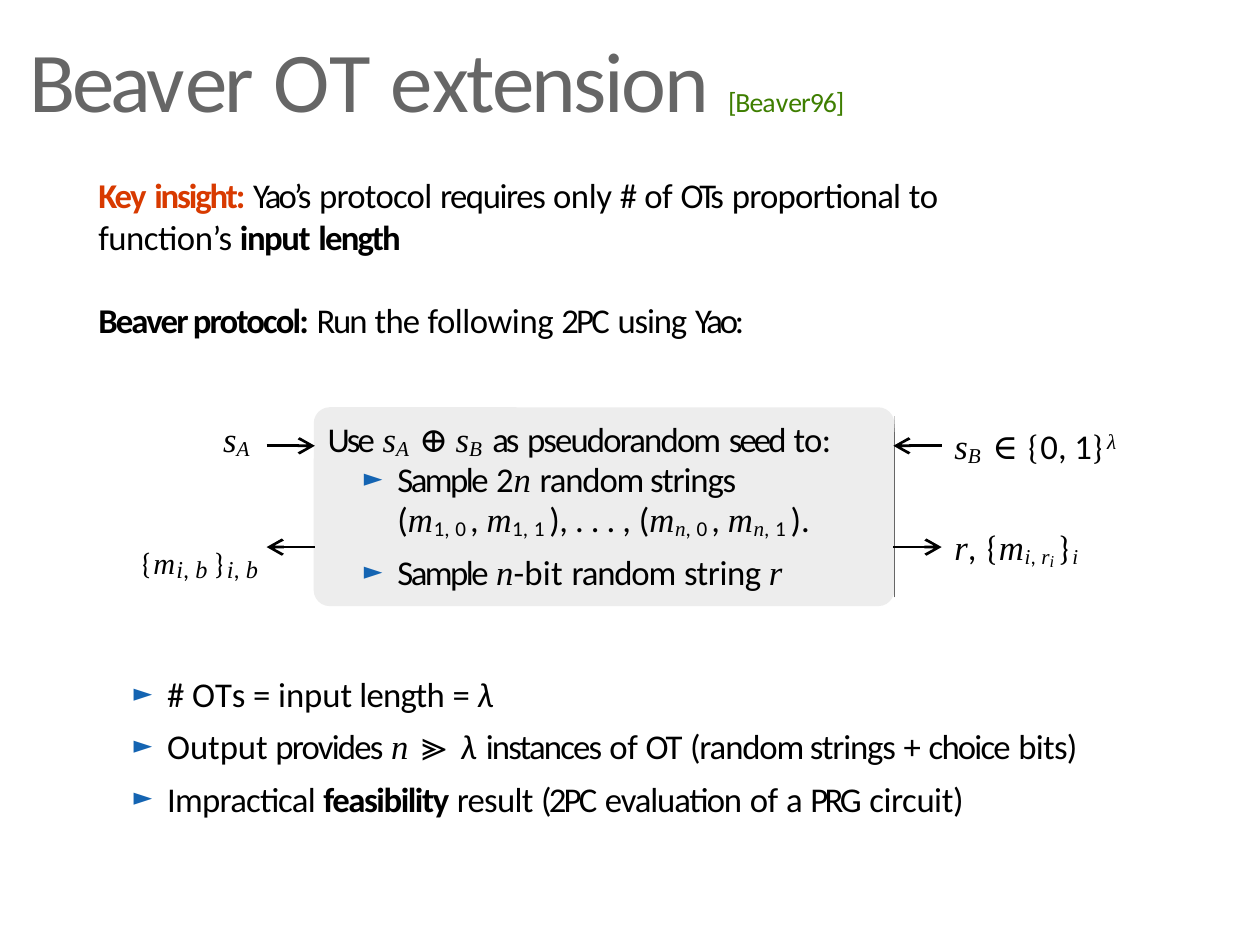
from collections import namedtuple

from lxml.etree import SubElement
from pptx import Presentation
from pptx.dml.color import RGBColor
from pptx.enum.shapes import MSO_CONNECTOR, MSO_SHAPE
from pptx.oxml.ns import qn
from pptx.util import Cm, Pt

# Face of a run: font, size, colour, italic, bold, baseline shift in percent
Face = namedtuple("Face", "font size color italic bold shift",
                  defaults=("000000", False, False, 0))
SANS, MATH, SERIF = "Calibri", "Cambria", "Times New Roman"


class Theme:
    panel = "EDEDED"
    ink = "000000"
    mark = "1464B2"
    edge = "666666"
    fade = ("8C8C8C", "A5A5A5", "BFBFBF", "CCCCCC")
    title = Face(SANS, 24.5, "666666")
    cite = Face(SANS, 8, "3E7E00")
    key = Face(SANS, 10, "D83A00", bold=True)
    body = Face(SANS, 10)
    bold = Face(SANS, 10, bold=True)
    slant = Face(SANS, 10, italic=True)
    sign = Face(MATH, 10)
    var = Face(SERIF, 10, italic=True)
    sub = Face(SERIF, 10.5, italic=True, shift=-12)
    num = Face(SANS, 10.5, shift=-12)
    deep = Face(SERIF, 8.2, italic=True, shift=-25)
    power = Face(SERIF, 10.5, italic=True, shift=28)
    brace = Face(MATH, 15, shift=8)
    base = Face(SERIF, 15, italic=True, shift=8)
    low = Face(SERIF, 7, italic=True)
    comma = Face(SANS, 7)


T = Theme


def add(para, text, face, gap):
    run = para.add_run()
    run.text = text
    font = run.font
    font.name, font.size = face.font, Pt(face.size)
    font.italic, font.bold = face.italic, face.bold
    font.color.rgb = RGBColor.from_string(face.color)
    props = run._r.get_or_add_rPr()
    props.set("spc", str(round(gap * 100)))
    if face.shift:
        props.set("baseline", str(face.shift * 1000))


def write(para, parts):
    """Add (text, face, spacing) parts; a tight word keeps its full space."""
    for text, face, gap in parts:
        if gap < 0 and text.endswith(" "):
            add(para, text[:-1], face, gap)
            add(para, " ", face, 0)
        else:
            add(para, text, face, gap)


def indent(para, left, hang=0):
    props = para._p.get_or_add_pPr()
    props.set("marL", str(Cm(left)))
    props.set("indent", str(-Cm(hang)))
    return props


def bullet(para, left):
    props = indent(para, left, 0.34)
    color = SubElement(props, qn("a:buClr"))
    SubElement(color, qn("a:srgbClr")).set("val", T.mark)
    SubElement(props, qn("a:buSzPct")).set("val", "70000")
    SubElement(props, qn("a:buFont")).set("typeface", MATH)
    SubElement(props, qn("a:buChar")).set("char", "►")


def block(slide, left, top, width, height, *lines):
    """Add a text box with no insets; return its paragraphs."""
    frame = slide.shapes.add_textbox(
        Cm(left), Cm(top), Cm(width), Cm(height)).text_frame
    frame.word_wrap = True
    frame.margin_left = frame.margin_right = 0
    frame.margin_top = frame.margin_bottom = 0
    for i, parts in enumerate(lines):
        write(frame.add_paragraph() if i else frame.paragraphs[0], parts)
    return frame.paragraphs


def line(slide, start, end, color, width, arrow=False):
    wire = slide.shapes.add_connector(
        MSO_CONNECTOR.STRAIGHT, *(Cm(v) for v in start + end))
    wire.line.color.rgb = RGBColor.from_string(color)
    wire.line.width = Pt(width)
    if arrow:
        tip = SubElement(wire.line._get_or_add_ln(), qn("a:tailEnd"))
        for name, value in (("type", "arrow"), ("w", "sm"), ("len", "sm")):
            tip.set(name, value)
    SubElement(wire._element.spPr, qn("a:effectLst"))


def panel(slide):
    box = slide.shapes.add_shape(
        MSO_SHAPE.ROUNDED_RECTANGLE, Cm(3.19), Cm(4.14), Cm(5.9), Cm(2.02))
    box.adjustments[0] = 0.08
    box.shadow.inherit = False
    box.fill.solid()
    box.fill.fore_color.rgb = RGBColor.from_string(T.panel)
    box.line.fill.background()
    # Right edge, fading towards the top
    line(slide, (9.09, 6.07), (9.09, 4.39), T.edge, 0.25)
    for i, color in enumerate(T.fade):
        y = 4.39 - 0.04 * i
        line(slide, (9.09, y), (9.09, y - 0.04), color, 0.25)


def item(row, face, col, end):
    """Message m with a row and a column index."""
    return [("m", T.var, 0.2), (row, face, -0.4 if face is T.sub else 0),
            (", ", T.num, 0.1), (col, T.num, end)]


def pair(row, face):
    return [("(", T.body, 0), *item(row, face, "0", 1.2),
            (", ", T.body, -0.1), *item(row, face, "1", 1.4)]


def heading(slide):
    block(slide, 0.3, 0.28, 9, 1.1, [
        ("Beav", T.title, -1), ("er ", T.title, -0.9), ("O", T.title, -0.8),
        ("T ", T.title, -1.6), ("e", T.title, -1.7),
        ("xtension ", T.title, -0.7), ("[Bea", T.cite, -0.3),
        ("v", T.cite, -0.5), ("er96]", T.cite, -0.3)])


def insight(slide):
    paras = block(slide, 1, 1.77, 9.63, 1.7, [
        ("Key ", T.key, -0.5), ("insight: ", T.key, -0.6),
        ("Yao’s ", T.body, -0.8), ("protocol ", T.body, -0.2),
        ("requires", T.body, -0.4), (" only ", T.body, -0.1),
        ("#", T.body, -0.9), (" of ", T.body, -0.1), ("OTs ", T.body, -0.9),
        ("proportional ", T.body, -0.2), ("to ", T.body, 0),
        ("function’s ", T.body, -0.1), ("input ", T.bold, -0.4),
        ("length", T.bold, -0.5),
    ], [
        ("Beaver protocol: ", T.bold, -0.5), ("Run", T.body, -0.6),
        (" the", T.body, -0.2), (" following ", T.body, -0.1),
        ("2PC ", T.body, -0.8), ("using ", T.body, -0.3),
        ("Yao:", T.body, -0.9)])
    paras[1].space_before = Pt(12)


def steps(slide):
    block(slide, 3.33, 4.23, 5.6, 0.46, [
        ("Use ", T.body, -0.8), ("s", T.var, 0), ("A ", T.sub, 0.7),
        ("⊕ ", T.sign, -3.6), ("s", T.var, -0.1), ("B ", T.sub, 0.7),
        ("as ", T.body, -0.9), ("pseudorandom ", T.body, -0.5),
        ("seed", T.body, -0.8), (" to:", T.body, -0.2)])
    first, pairs, last = block(slide, 3.58, 4.65, 4.78, 1.4, [
        ("Sample ", T.body, -0.7), ("2", T.body, -0.5), ("n ", T.var, 0),
        ("random strings", T.body, -0.3),
    ], [
        *pair("1", T.num), ("), . . . , ", T.body, -0.1),
        *pair("n", T.sub), (")", T.body, 0), (".", T.body, -0.6),
    ], [
        ("Sample ", T.body, -0.7), ("n", T.var, 0), ("-bit ", T.body, 0.1),
        ("random ", T.body, -0.3), ("string ", T.body, -0.1),
        ("r", T.var, -0.5)])
    first.line_spacing = pairs.line_spacing = Pt(12)
    last.space_before = Pt(3)
    bullet(first, 0.46)
    indent(pairs, 0.46)
    bullet(last, 0.46)


def ports(slide):
    # Inputs point to the panel, outputs away from it
    for y, near, far in ((4.53, 0, 1), (5.56, 1, 0)):
        for ends in ((2.71, 3.2), (9.57, 9.08)):
            line(slide, (ends[near], y), (ends[far], y), T.ink, 0.8, True)
    block(slide, 2.27, 4.23, 0.6, 0.48, [("s", T.var, 0), ("A", T.sub, 0)])
    index = [("i", T.low, -0.4), (", ", T.comma, 0.1)]
    block(slide, 1.42, 5.35, 1.4, 0.46, [
        ("{", T.brace, 0.6), ("m", T.base, 0.4), *index, ("b ", T.low, 0.1),
        ("}", T.brace, 0.3), *index, ("b", T.low, 0.1)])
    paras = block(slide, 9.7, 4.3, 1.9, 1.45, [
        ("s", T.var, -0.2), ("B ", T.sub, 0.9), ("∈ ", T.sign, -0.9),
        ("{", T.sign, 0.5), ("0", T.body, -0.6), (", ", T.body, -0.1),
        ("1", T.body, -0.3), ("}", T.sign, 0.5), ("λ", T.power, 1.2),
    ], [
        ("r", T.var, -0.6), (", ", T.body, -0.1), ("{", T.sign, 0.4),
        ("m", T.var, 0.2), ("i", T.sub, -0.6), (", ", T.num, 0.1),
        ("r", T.sub, -0.4), ("i ", T.deep, -0.1), ("}", T.sign, 0.2),
        ("i", T.sub, 0)])
    paras[1].space_before = Pt(16.1)


def results(slide):
    paras = block(slide, 1.22, 6.84, 10.7, 1.5, [
        ("# ", T.body, -0.9), ("O", T.body, -0.5), ("T", T.body, -1.2),
        ("s ", T.body, -1.1), ("= ", T.body, -0.6), ("input", T.body, 0),
        (" length ", T.body, -0.2), ("= ", T.body, -0.6), ("λ", T.slant, 0.2),
    ], [
        ("Output ", T.body, 0), ("provides ", T.body, -0.5), ("n ", T.var, 0),
        ("≫ ", T.sign, 0.2), ("λ ", T.slant, 0.2),
        ("instances", T.body, -0.5), (" of ", T.body, -0.1),
        ("OT ", T.body, -0.6), ("(random strings ", T.body, -0.3),
        ("+ ", T.body, -0.6), ("choice ", T.body, -0.5),
        ("bits)", T.body, -0.2),
    ], [
        ("Impractical ", T.body, -0.2), ("feasibility ", T.bold, -0.4),
        ("result ", T.body, -0.2), ("(2PC ", T.body, -0.8),
        ("evaluation ", T.body, -0.3), ("of ", T.body, -0.1),
        ("a ", T.body, -0.8), ("PRG ", T.body, -1), ("circuit)", T.body, -0.1)])
    for i, para in enumerate(paras):
        if i:
            para.space_before = Pt(3)
        bullet(para, 0.48)


def main():
    deck = Presentation()
    deck.slide_width, deck.slide_height = Pt(363), Pt(272.5)
    slide = deck.slides.add_slide(deck.slide_layouts[6])
    for part in (heading, insight, panel, steps, ports, results):
        part(slide)
    deck.save("out.pptx")


if __name__ == "__main__":
    main()
